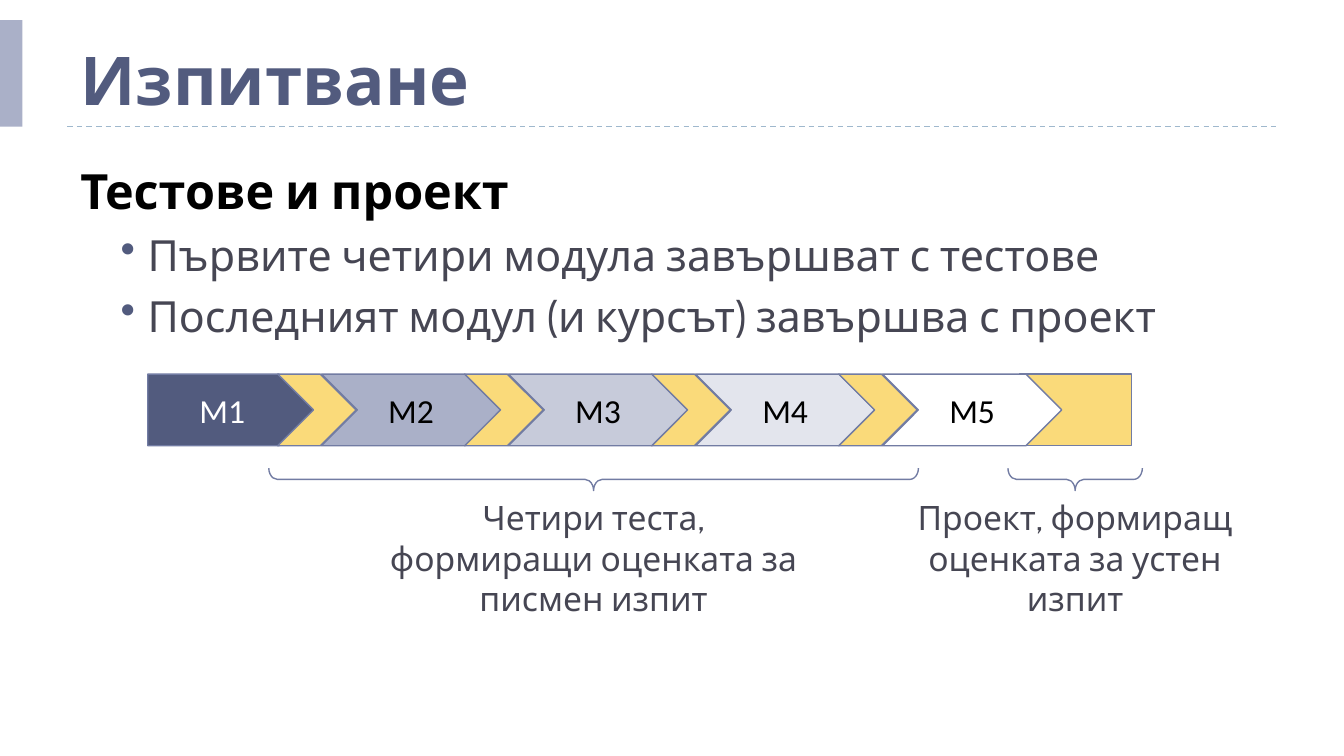
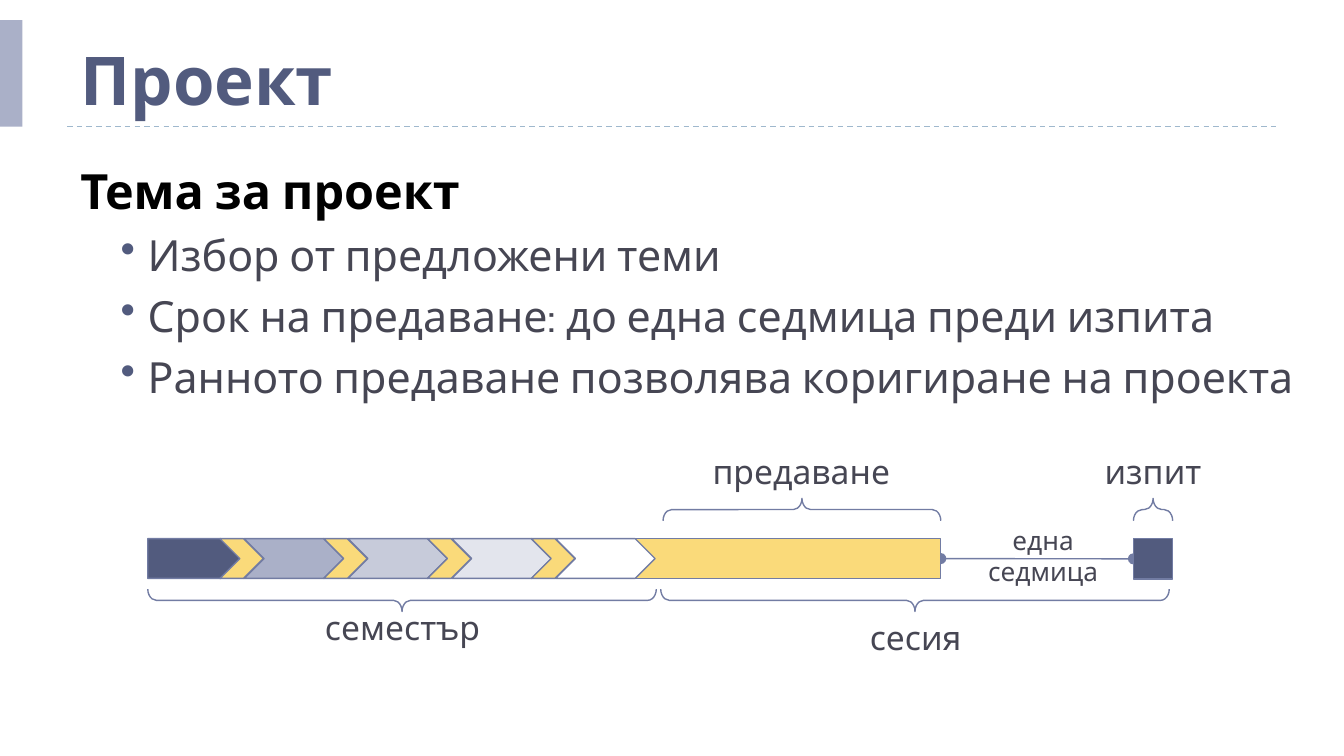
from pptx import Presentation
from pptx.dml.color import RGBColor
from pptx.enum.dml import MSO_LINE
from pptx.enum.shapes import MSO_CONNECTOR, MSO_SHAPE
from pptx.enum.text import MSO_ANCHOR, MSO_AUTO_SIZE, PP_ALIGN
from pptx.oxml.ns import qn
from pptx.util import Emu, Pt
from lxml import etree

EMU_PER_PX = 7620  # 120 px to the inch
COLORS = {
    "title": "525B7E",
    "heading": "000000",
    "body": "464653",
    "band": "AAB0C8",
    "rule": "9FB8CD",
    "outline": "727CA3",
    "test": "FADA7A",
    "white": "FFFFFF",
}
MODULE_FILLS = ["525B7E", "AAB0C8", "C7CBDA", "E3E5ED", "FFFFFF"]
TEXT_FONT = "Cabin"
MODULE_FONT = "Calibri"

RECTANGLE = MSO_SHAPE.RECTANGLE
PENTAGON = MSO_SHAPE.PENTAGON
CHEVRON = MSO_SHAPE.CHEVRON
LEFT_BRACE = MSO_SHAPE.LEFT_BRACE
STRAIGHT = MSO_CONNECTOR.STRAIGHT
DASH = MSO_LINE.DASH
CENTER = PP_ALIGN.CENTER
TOP, MIDDLE, BOTTOM = MSO_ANCHOR.TOP, MSO_ANCHOR.MIDDLE, MSO_ANCHOR.BOTTOM
FIT_SHAPE = MSO_AUTO_SIZE.SHAPE_TO_FIT_TEXT
LEFT_SIDE, RIGHT_SIDE = 1, 3


def px(*lengths):
    return [Emu(round(length * EMU_PER_PX)) for length in lengths]


def rgb(hex_color):
    return RGBColor.from_string(hex_color)


def add_run(paragraph, text, size, color, font=TEXT_FONT, bold=False):
    run = paragraph.add_run()
    run.text = text
    run.font.name = font
    run.font.size = Pt(size)
    run.font.bold = bold
    run.font.color.rgb = rgb(color)


def add_shape(slide, kind, box, fill=None, outline=COLORS["outline"]):
    shape = slide.shapes.add_shape(kind, *px(*box))
    shape.shadow.inherit = False
    if fill:
        shape.fill.solid()
        shape.fill.fore_color.rgb = rgb(fill)
    else:
        shape.fill.background()
    if outline:
        shape.line.color.rgb = rgb(outline)
        shape.line.width = Pt(0.75)
    else:
        shape.line.fill.background()
    return shape


def add_line(slide, start, end, color):
    line = slide.shapes.add_connector(STRAIGHT, *px(*start, *end))
    line.line.color.rgb = rgb(color)
    line.line.width = Pt(0.75)
    etree.SubElement(line._element.spPr, qn("a:effectLst"))
    return line


def add_round_ends(line):
    outline = line.line._get_or_add_ln()
    for end in ("a:headEnd", "a:tailEnd"):
        etree.SubElement(outline, qn(end), type="oval")


def add_text_box(slide, box, anchor=TOP):
    frame = slide.shapes.add_textbox(*px(*box)).text_frame
    frame.word_wrap = True
    frame.vertical_anchor = anchor
    return frame


def add_caption(slide, text, box, size=18):
    frame = add_text_box(slide, box)
    frame.auto_size = FIT_SHAPE
    paragraph = frame.paragraphs[0]
    paragraph.alignment = CENTER
    add_run(paragraph, text, size, COLORS["body"])


def make_bullet(paragraph):
    paragraph.space_before = Pt(5)
    properties = paragraph._p.get_or_add_pPr()
    properties.set("lvl", "1")
    properties.set("marL", str(60 * EMU_PER_PX))
    properties.set("indent", str(-24 * EMU_PER_PX))
    bullet_color = etree.SubElement(properties, qn("a:buClr"))
    etree.SubElement(bullet_color, qn("a:srgbClr"), val=COLORS["title"])
    etree.SubElement(properties, qn("a:buChar"), char="•")


def add_base_slide(presentation, title, heading, bullets):
    """Add a slide with the shared band, rule, title and bulleted body."""
    slide = presentation.slides.add_slide(presentation.slide_layouts[6])
    rule = add_line(slide, (60, 113), (1140, 113), COLORS["rule"])
    rule.line.dash_style = DASH
    add_shape(slide, RECTANGLE, (0, 18, 20, 95), COLORS["band"], outline=None)

    title_frame = add_text_box(slide, (60, 14, 1120, 98), BOTTOM)
    add_run(title_frame.paragraphs[0], title, 36, COLORS["title"], bold=True)

    body = add_text_box(slide, (60, 138, 1120, 530))
    add_run(body.paragraphs[0], heading, 26, COLORS["heading"], bold=True)
    for text in bullets:
        paragraph = body.add_paragraph()
        make_bullet(paragraph)
        add_run(paragraph, text, 23, COLORS["body"])
    return slide


def add_module_label(shape, text, color):
    frame = shape.text_frame
    frame.vertical_anchor = MIDDLE
    paragraph = frame.paragraphs[0]
    paragraph.alignment = CENTER
    add_run(paragraph, text, 18, color, MODULE_FONT)


def add_timeline(slide, top, end, scale=1.0, labels=()):
    """Draw five modules with a test after each; return the closing bar."""
    left, height, step = 132, 64 * scale, 167 * scale
    bar_left = left + 778 * scale
    bar = add_shape(slide, CHEVRON, (bar_left, top, end - bar_left, height),
                    COLORS["test"])
    bar.adjustments[0] = 0

    modules = []
    for index, fill in enumerate(MODULE_FILLS):
        if index == 0:
            kind, module_left, width = PENTAGON, left, 149 * scale
        else:
            kind, width = CHEVRON, 160 * scale
            module_left = left + 155 * scale + (index - 1) * step
        modules.append(add_shape(slide, kind, (module_left, top, width, height), fill))
    for index, (module, label) in enumerate(zip(modules, labels)):
        add_module_label(module, label, COLORS["heading" if index else "white"])

    for index in range(len(modules) - 1):
        test_left = left + 116 * scale + index * step
        add_shape(slide, CHEVRON, (test_left, top, 70 * scale, height), COLORS["test"])
    return bar


def add_brace(slide, left, top, width, rotation=270):
    """Draw a horizontal brace: rotation 270 points down, 90 points up."""
    depth = 20
    shift = (width - depth) / 2
    brace = add_shape(slide, LEFT_BRACE, (left + shift, top - shift, depth, width))
    brace.rotation = rotation
    brace.adjustments[0] = 0.383
    brace.adjustments[1] = 0.5


def build_exam_slide(presentation):
    slide = add_base_slide(presentation, "Изпитване", "Тестове и проект", [
        "Първите четири модула завършват с тестове",
        "Последният модул (и курсът) завършва с проект",
    ])
    add_timeline(slide, 334, 1010, labels=["М1", "М2", "М3", "М4", "М5"])
    add_caption(slide, "Четири теста, формиращи оценката за писмен изпит",
                (330, 438, 400, 85))
    add_caption(slide, "Проект, формиращ оценката за устен изпит",
                (780, 438, 360, 85))
    add_brace(slide, 240, 418, 580)
    add_brace(slide, 900, 418, 120)


def build_project_slide(presentation):
    slide = add_base_slide(presentation, "Проект", "Тема за проект", [
        "Избор от предложени теми",
        "Срок на предаване: до една седмица преди изпита",
        "Ранното предаване позволява коригиране на проекта",
    ])
    week = add_line(slide, (840, 499), (1012, 499), COLORS["outline"])
    add_round_ends(week)
    submission = add_timeline(slide, 481, 840, scale=0.555)
    exam = add_shape(slide, RECTANGLE, (1012, 481, 35, 36), COLORS["title"])
    week.begin_connect(submission, RIGHT_SIDE)
    week.end_connect(exam, LEFT_SIDE)

    for left in (132, 590):
        add_brace(slide, left, 526, 454)
    for left, width in ((592, 248), (1012, 35)):
        add_brace(slide, left, 445, width, rotation=90)

    for text, left, top in (("семестър", 260, 536), ("сесия", 718, 545),
                            ("предаване", 616, 397), ("изпит", 930, 397)):
        add_caption(slide, text, (left, top, 199, 48))
    add_caption(slide, "една седмица", (869, 462, 125, 68), size=14)


def main():
    presentation = Presentation()
    presentation.slide_width, presentation.slide_height = px(1200, 675)
    build_exam_slide(presentation)
    build_project_slide(presentation)
    presentation.save("out.pptx")


if __name__ == "__main__":
    main()
